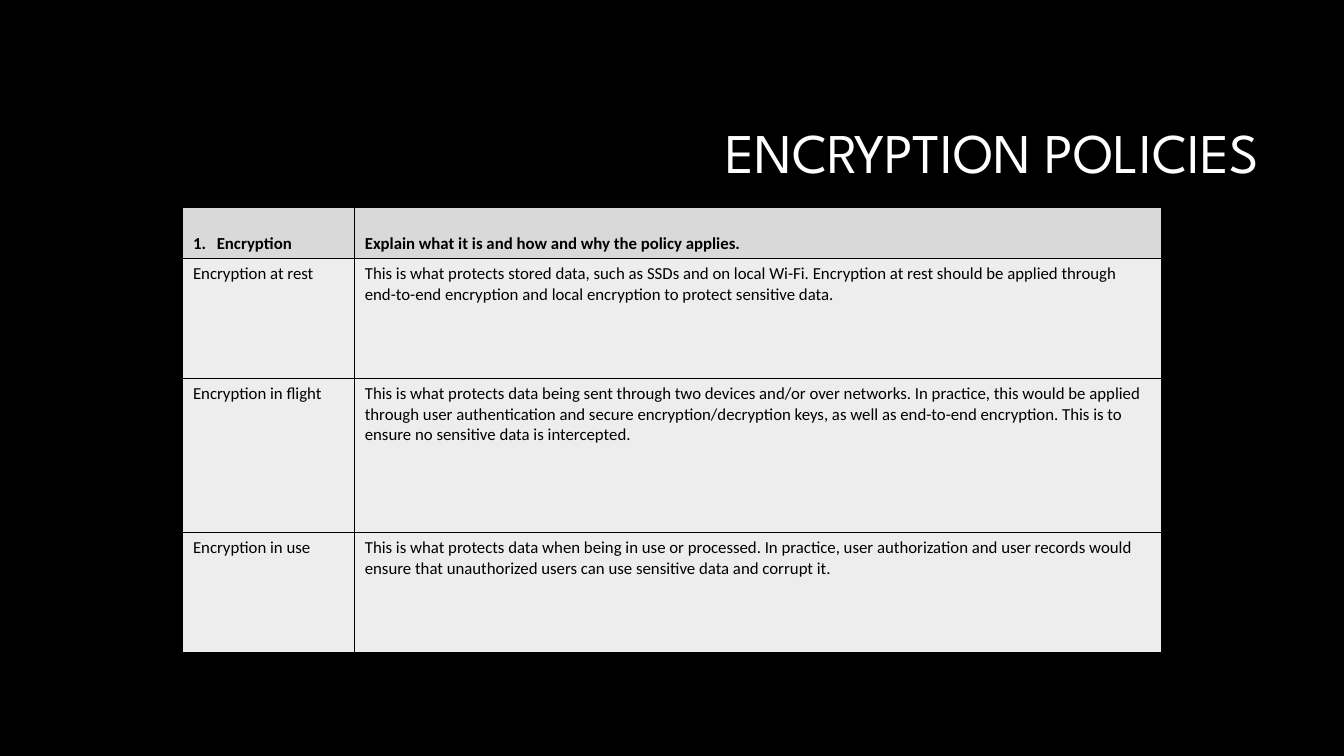
from dataclasses import dataclass

import pptx
import pptx.dml.color
import pptx.enum.text
import pptx.oxml
import pptx.oxml.ns
import pptx.util
from pptx.util import Cm

COLORS = {
    "black": "000000",
    "white": "FFFFFF",
    "header": "D9D9D9",
    "body": "EDEDED",
}
ANCHOR = pptx.enum.text.MSO_ANCHOR


@dataclass
class PolicyRow:
    name: str
    explanation: str
    height: float
    is_header: bool = False


ROWS = [
    PolicyRow("Encryption", "Explain what it is and how and why the policy applies.", 1.28, True),
    PolicyRow(
        "Encryption at rest",
        "This is what protects stored data, such as SSDs and on local Wi-Fi. Encryption at rest "
        "should be applied through end-to-end encryption and local encryption to protect "
        "sensitive data.",
        3.02,
    ),
    PolicyRow(
        "Encryption in flight",
        "This is what protects data being sent through two devices and/or over networks. In "
        "practice, this would be applied through user authentication and secure "
        "encryption/decryption keys, as well as end-to-end encryption. This is to ensure no "
        "sensitive data is intercepted.",
        3.88,
    ),
    PolicyRow(
        "Encryption in use",
        "This is what protects data when being in use or processed. In practice, user "
        "authorization and user records would ensure that unauthorized users can use sensitive "
        "data and corrupt it.",
        3.02,
    ),
]
COLUMN_WIDTHS = (4.33, 20.34)


def rgb(name: str) -> pptx.dml.color.RGBColor:
    return pptx.dml.color.RGBColor.from_string(COLORS[name])


def add_run(p, text: str, font: str, size: float, color: str, bold: bool = False) -> None:
    r = p.add_run()
    r.text = text
    r.font.name = font
    r.font.size = pptx.util.Pt(size)
    r.font.bold = bold
    r.font.color.rgb = rgb(color)


def add_borders(cell) -> None:
    tc_pr = cell._tc.get_or_add_tcPr()
    for side in "LRTB":
        tc_pr.append(pptx.oxml.parse_xml(
            f'<a:ln{side} {pptx.oxml.ns.nsdecls("a")} w="{pptx.util.Pt(0.75)}"><a:solidFill>'
            f'<a:srgbClr val="{COLORS["black"]}"/></a:solidFill></a:ln{side}>'
        ))


def number_paragraph(p) -> None:
    """Give the paragraph an automatic number with a hanging indent."""
    p_pr = p._p.get_or_add_pPr()
    indent = Cm(0.6)
    p_pr.set("marL", str(indent))
    p_pr.set("indent", str(-indent))
    p_pr.append(pptx.oxml.parse_xml(
        f'<a:buAutoNum {pptx.oxml.ns.nsdecls("a")} type="arabicPeriod"/>'
    ))


def fill_cell(cell, text: str, is_header: bool) -> None:
    add_borders(cell)
    cell.fill.solid()
    cell.fill.fore_color.rgb = rgb("header" if is_header else "body")
    cell.vertical_anchor = ANCHOR.BOTTOM if is_header else ANCHOR.TOP
    add_run(cell.text_frame.paragraphs[0], text, "Calibri", 12, "black", is_header)


def add_title(s, text: str) -> None:
    tf = s.shapes.add_textbox(Cm(8.05), Cm(2.13), Cm(23.93), Cm(3.58)).text_frame
    tf.word_wrap = True
    tf.vertical_anchor = ANCHOR.MIDDLE
    p = tf.paragraphs[0]
    p.alignment = pptx.enum.text.PP_ALIGN.RIGHT
    p.line_spacing = 0.9
    add_run(p, text, "League Spartan", 40, "white")


def add_policy_table(s) -> None:
    width, height = sum(COLUMN_WIDTHS), sum(row.height for row in ROWS)
    table = s.shapes.add_table(
        len(ROWS), len(COLUMN_WIDTHS), Cm(4.61), Cm(5.24), Cm(width), Cm(height)
    ).table
    for column, column_width in zip(table.columns, COLUMN_WIDTHS):
        column.width = Cm(column_width)
    for i, row in enumerate(ROWS):
        table.rows[i].height = Cm(row.height)
        for j, text in enumerate((row.name, row.explanation)):
            fill_cell(table.cell(i, j), text, row.is_header)
    number_paragraph(table.cell(0, 0).text_frame.paragraphs[0])


def main() -> None:
    prs = pptx.Presentation()
    prs.slide_width, prs.slide_height = Cm(33.87), Cm(19.05)
    s = prs.slides.add_slide(prs.slide_layouts[6])
    s.background.fill.solid()
    s.background.fill.fore_color.rgb = rgb("black")
    add_title(s, "ENCRYPTION POLICIES")
    add_policy_table(s)
    prs.save("out.pptx")


if __name__ == "__main__":
    main()
